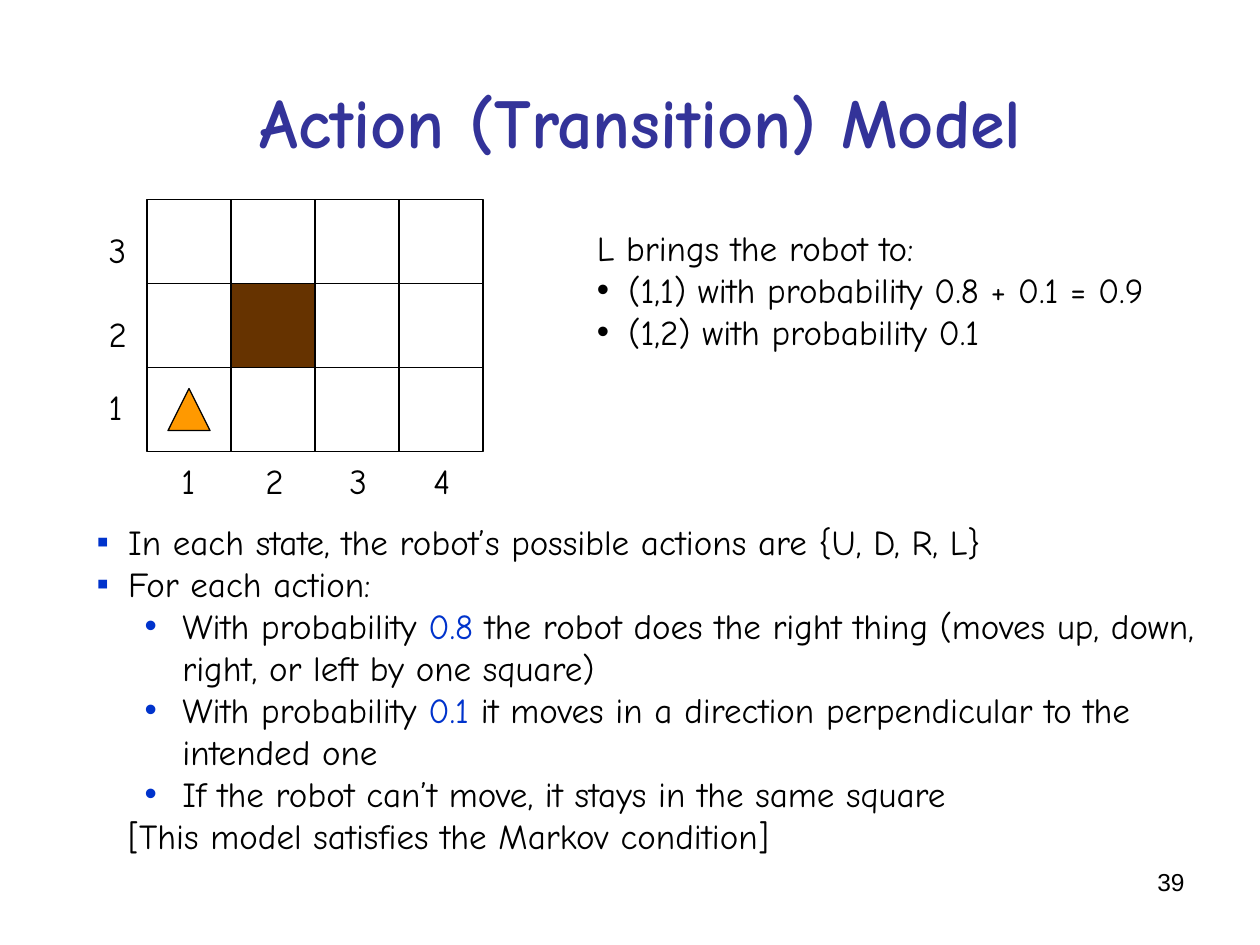
from lxml.etree import SubElement
from pptx import Presentation
from pptx.dml.color import RGBColor
from pptx.enum.shapes import MSO_CONNECTOR, MSO_SHAPE
from pptx.enum.text import MSO_ANCHOR, MSO_AUTO_SIZE, PP_ALIGN
from pptx.oxml.ns import qn
from pptx.util import Pt

BLACK = RGBColor(0, 0, 0)
NAVY = RGBColor(0x33, 0x33, 0x99)
BLUE = RGBColor(0x00, 0x33, 0xCC)
BROWN = RGBColor(0x66, 0x33, 0x00)
ORANGE = RGBColor(0xFF, 0x99, 0x00)
FONT = "Comic Neue"

TITLE = "Action (Transition) Model"
# Each line: level, bullet, runs; every second run is blue
RULES = [
    (0, "▪", ["In each state, the robot’s possible actions are {U, D, R, L}"]),
    (0, "▪", ["For each action:"]),
    (1, "•", ["With probability ", "0.8", " the robot does the right thing "
              "(moves up, down, right, or left by one square)"]),
    (1, "•", ["With probability ", "0.1",
              " it moves in a direction perpendicular to the intended one"]),
    (1, "•", ["If the robot can’t move, it stays in the same square"]),
    (0, "", ["[This model satisfies the Markov condition]"]),
]
MOVES = [
    (0, "", ["L brings the robot to:"]),
    (0, "•", ["(1,1) with probability 0.8 + 0.1 = 0.9"]),
    (0, "•", ["(1,2) with probability 0.1"]),
]
ROWS = [("3", 127), ("2", 175), ("1", 217)]
COLS = ["1", "2", "3", "4"]
INDENTS = [(18, -18), (49, -21.6)]
LEFT, TOP, CELL = 84, 114, 48
WIDE, HIGH = CELL * len(COLS), CELL * len(ROWS)


def place(shape, x, y, w, h):
    shape.left, shape.top, shape.width, shape.height = map(Pt, (x, y, w, h))


def style(para, size=20, name=FONT, color=BLACK, bold=False):
    font = para.font
    font.size, font.name, font.bold = Pt(size), name, bold
    font.color.rgb = color


def indent(para, margin, first, mark, color):
    props = para._p.get_or_add_pPr()
    props.set("marL", str(Pt(margin)))
    props.set("indent", str(Pt(first)))
    if mark:
        tint = SubElement(props, qn("a:buClr"))
        SubElement(tint, qn("a:srgbClr"), val=str(color))
        SubElement(props, qn("a:buFont"), typeface="Arial")
        SubElement(props, qn("a:buChar"), char=mark)
    else:
        SubElement(props, qn("a:buNone"))


def fill_list(frame, lines, color, hang):
    """Write the lines; unmarked ones start at the margin, less any hang."""
    for i, (level, mark, parts) in enumerate(lines):
        para = frame.paragraphs[0] if i == 0 else frame.add_paragraph()
        para.level = level
        margin, first = INDENTS[level]
        indent(para, margin, first if mark else hang, mark, color)
        para.space_before = Pt(0)
        style(para)
        for j, part in enumerate(parts):
            run = para.add_run()
            run.text = part
            if j % 2:
                run.font.color.rgb = BLUE


def add_text(slide, text, x, y, w, h):
    box = slide.shapes.add_textbox(Pt(x), Pt(y), Pt(w), Pt(h))
    box.text_frame.text = text
    return box.text_frame


def add_form(slide, kind, x, y, w, h, fill=None):
    form = slide.shapes.add_shape(kind, Pt(x), Pt(y), Pt(w), Pt(h))
    form.shadow.inherit = False
    form.line.color.rgb, form.line.width = BLACK, Pt(0.75)
    if fill is None:
        form.fill.background()
    else:
        form.fill.solid()
        form.fill.fore_color.rgb = fill


def add_line(slide, x1, y1, x2, y2):
    line = slide.shapes.add_connector(
        MSO_CONNECTOR.STRAIGHT, Pt(x1), Pt(y1), Pt(x2), Pt(y2))
    line.line.color.rgb, line.line.width = BLACK, Pt(0.75)
    SubElement(line._element.spPr, qn("a:effectLst"))


def add_grid(slide):
    add_form(slide, MSO_SHAPE.RECTANGLE, LEFT, TOP, WIDE, HIGH)
    for i in range(1, len(COLS)):
        x = LEFT + CELL * i
        add_line(slide, x, TOP, x, TOP + HIGH)
    for i in range(1, len(ROWS)):
        y = TOP + CELL * i
        add_line(slide, LEFT, y, LEFT + WIDE, y)
    add_form(slide, MSO_SHAPE.RECTANGLE, LEFT + CELL, TOP + CELL,
             CELL, CELL, BROWN)
    add_form(slide, MSO_SHAPE.ISOSCELES_TRIANGLE, LEFT + CELL / 4,
             TOP + 2 * CELL + CELL / 4, CELL / 2, CELL / 2, ORANGE)
    for text, y in ROWS:
        style(add_text(slide, text, 55, y, 24, 32).paragraphs[0])
    for i, text in enumerate(COLS):
        x = LEFT + CELL * i + 12.5
        style(add_text(slide, text, x, 259, 24, 32).paragraphs[0])


def main():
    deck = Presentation()
    deck.slide_width, deck.slide_height = Pt(720), Pt(540)
    slide = deck.slides.add_slide(deck.slide_layouts[1])

    title, body = slide.placeholders
    place(title, 48, 24, 636, 90)
    title.text_frame.text = TITLE
    title.text_frame.vertical_anchor = MSO_ANCHOR.MIDDLE
    head = title.text_frame.paragraphs[0]
    head.alignment = PP_ALIGN.CENTER
    style(head, 40, color=NAVY, bold=True)

    add_grid(slide)

    place(body, 48, 294, 648, 199)
    body.text_frame.auto_size = MSO_AUTO_SIZE.NONE
    fill_list(body.text_frame, RULES, BLUE, 0)
    moves = add_text(slide, "", 334, 126, 328, 79)
    fill_list(moves, MOVES, BLACK, -18)

    page = add_text(slide, "39", 516, 492, 168, 37).paragraphs[0]
    page.alignment = PP_ALIGN.RIGHT
    style(page, 14, "Arial")
    deck.save("out.pptx")


if __name__ == "__main__":
    main()
